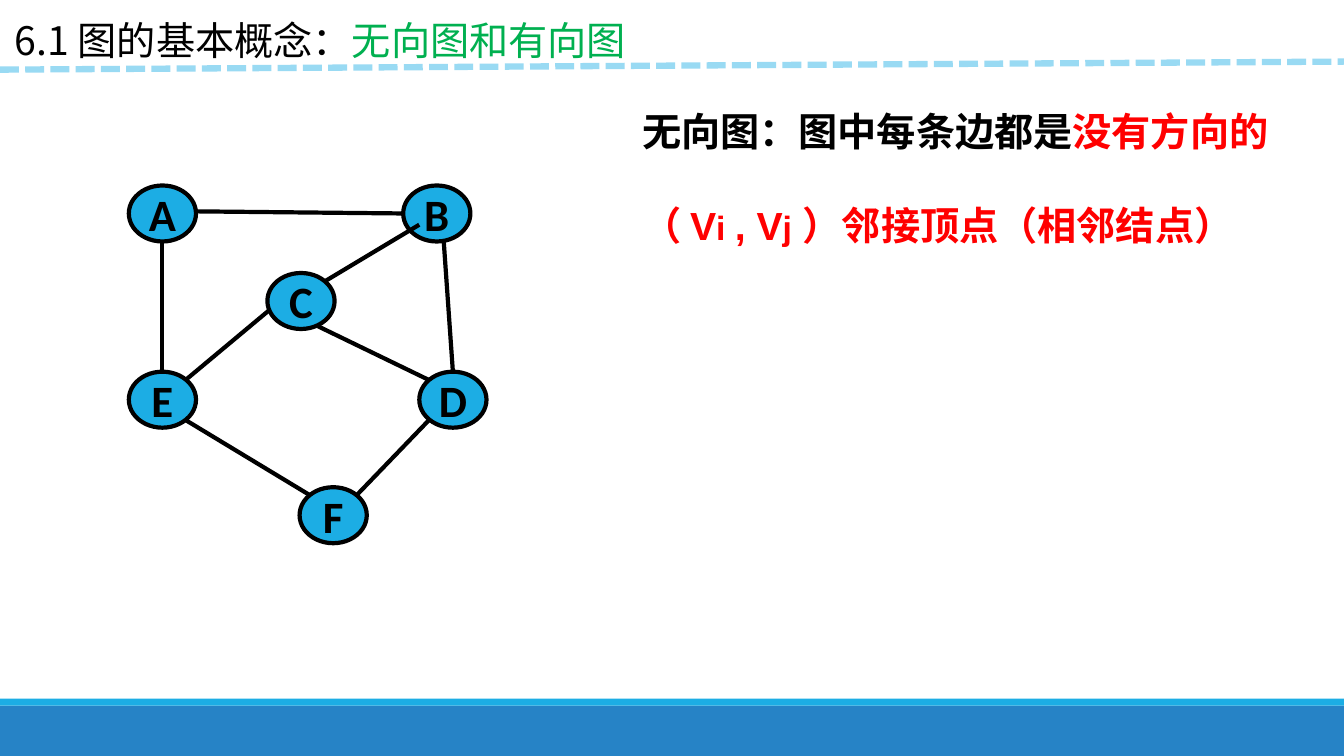
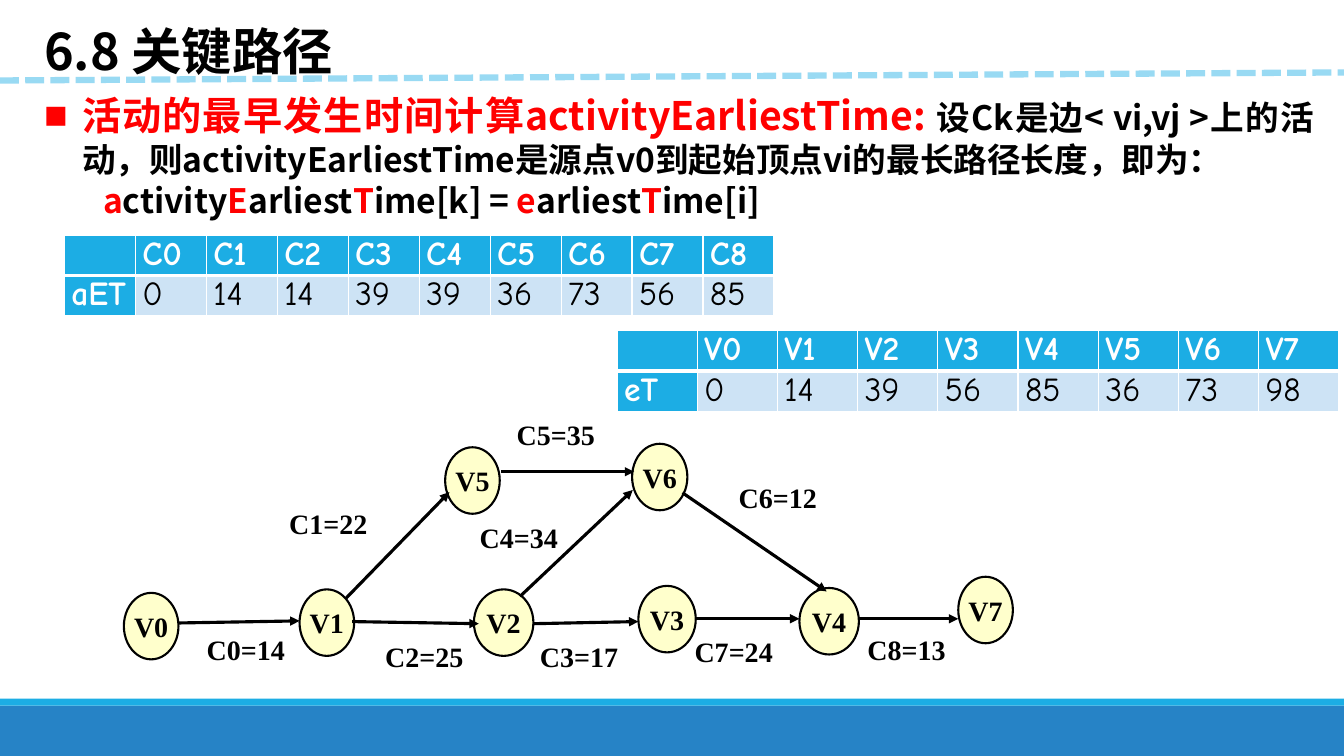
"""Build two slides on graph concepts and critical paths."""
import pptx
import pptx.dml.color
import pptx.enum.dml
import pptx.enum.shapes
import pptx.enum.text
import pptx.oxml.ns
import pptx.util
from lxml import etree

Pt = pptx.util.Pt
SHAPE = pptx.enum.shapes.MSO_SHAPE
ALIGN = pptx.enum.text.PP_ALIGN
ANCHOR = pptx.enum.text.MSO_ANCHOR

WIDTH, HEIGHT = 960, 540
CJK = "Noto Sans CJK SC"
BLACK, WHITE, RED, GREEN = "000000", "FFFFFF", "FF0000", "00B050"
BLUE, SKY, PALE, DASH, CREAM = "2683C6", "1CADE4", "CDE3F5", "99DAF3", "FFFFCC"
TITLE = dict(name=CJK, size=28, color=BLACK, bold=False)
BIG_TITLE = dict(TITLE, size=36, bold=True)
BODY = dict(name=CJK, size=24, color=BLACK, bold=True)
DEFINITION = dict(name="Arial", size=28, color=BLACK, bold=True)
LETTER = dict(name="Calibri", size=32, color=BLACK, bold=True)
LABEL = dict(name="Times New Roman", size=20, color=BLACK, bold=True)
HEAD = dict(name="Comic Neue", size=24, color=WHITE, bold=True)
VALUE = dict(HEAD, color=BLACK, bold=False)

UNDIRECTED_NODES = [("B", 288, 132.5), ("A", 92, 132.5), ("D", 299.5, 265.5),
                    ("F", 214, 348), ("E", 92, 265.5), ("C", 191, 195)]
UNDIRECTED_EDGES = [
    (116, 173, 116, 265.5), (299.5, 160.5, 232, 201), (288, 152.5, 140, 151),
    (193, 221, 132.5, 271.5), (306.5, 300, 255, 353.5), (317, 173, 323.5, 265.5),
    (132.5, 300, 221, 353.5), (227, 233, 306.5, 271.5)]

ACTIVITY_NODES = [
    ("V0", 88.5, 423.5, 39), ("V1", 214, 421, 39), ("V2", 338.5, 421, 42.5),
    ("V3", 456, 418.5, 41), ("V4", 571, 420, 42.5), ("V5", 318, 319.5, 39),
    ("V6", 451.5, 317, 39.5), ("V7", 684.5, 412, 39)]
ACTIVITY_EDGES = [
    ("C0=14", (127.5, 445, 214, 443.5), (140.5, 448)),
    ("C1=22", (247, 427.5, 321, 351.5), (199.5, 358.5)),
    ("C2=25", (251.5, 444, 342, 445.5), (268, 453.5)),
    ("C3=17", (381, 445.5, 456, 444), (378.5, 453.5)),
    ("C4=34", (371.5, 426, 452, 350), (335.5, 368)),
    ("C5=35", (358, 337, 453, 337), (362, 294.5)),
    ("C6=12", (487.5, 352, 590.5, 422.5), (520.5, 340)),
    ("C7=24", (497, 442, 571, 442), (489, 450)),
    ("C8=13", (613.5, 442, 684.5, 442), (612.5, 448))]


def rgb(value):
    """Return the colour for a hex string."""
    return pptx.dml.color.RGBColor.from_string(value)


def child(parent, tag, **attrs):
    """Append a DrawingML element to its parent."""
    return etree.SubElement(parent, pptx.oxml.ns.qn(tag), attrs)


def add_run(p, text, fmt):
    """Add a run with the given format."""
    r = p.add_run()
    r.text = text
    values = dict(fmt, size=Pt(fmt["size"]))
    r.font.color.rgb = rgb(values.pop("color"))
    for key, value in values.items():
        setattr(r.font, key, value)
    child(r.font._element, "a:ea", typeface=CJK)


def setup_frame(tf, **values):
    """Set text frame attributes."""
    for key, value in values.items():
        setattr(tf, key, value)


def add_text(s, box, paragraphs, wrap=False, **fmt):
    """Add a text box holding paragraphs of (text, format) runs."""
    tf = s.shapes.add_textbox(*map(Pt, box)).text_frame
    setup_frame(tf, word_wrap=wrap)
    for i, runs in enumerate(paragraphs):
        p = tf.add_paragraph() if i else tf.paragraphs[0]
        for key, value in fmt.items():
            setattr(p, key, value)
        for text, run_fmt in runs:
            add_run(p, text, run_fmt)
    return tf


def add_block(s, kind, box, fill, line=None):
    """Add a filled shape with an optional black outline."""
    sp = s.shapes.add_shape(kind, *map(Pt, box))
    sp.shadow.inherit = False
    sp.fill.solid()
    sp.fill.fore_color.rgb = rgb(fill)
    if line:
        sp.line.color.rgb = rgb(BLACK)
        sp.line.width = Pt(line)
    else:
        sp.line.fill.background()
    return sp


def add_node(s, text, box, fill, line, fmt):
    """Add a graph vertex with its name."""
    tf = add_block(s, SHAPE.OVAL, box, fill, line).text_frame
    setup_frame(tf, word_wrap=False, vertical_anchor=ANCHOR.MIDDLE,
                margin_left=0, margin_right=0, margin_top=0, margin_bottom=0)
    p = tf.paragraphs[0]
    p.alignment = ALIGN.CENTER
    add_run(p, text, fmt)


def add_line(s, ends, width, color=BLACK, arrow=False):
    """Add a straight line, with an arrowhead if asked."""
    sp = s.shapes.add_connector(pptx.enum.shapes.MSO_CONNECTOR.STRAIGHT, *map(Pt, ends))
    sp.line.color.rgb = rgb(color)
    sp.line.width = Pt(width)
    if arrow:
        child(sp.line._get_or_add_ln(), "a:tailEnd", type="triangle")
    child(sp._element.spPr, "a:effectLst")
    return sp


def add_cell(cell, text, fmt, fill, top, bottom):
    """Fill one table cell and draw its white borders."""
    tc_pr = cell._tc.get_or_add_tcPr()
    for tag, width in (("a:lnL", 1), ("a:lnR", 1), ("a:lnT", top), ("a:lnB", bottom)):
        solid = child(child(tc_pr, tag, w=str(Pt(width))), "a:solidFill")
        child(solid, "a:srgbClr", val=WHITE)
    cell.fill.solid()
    cell.fill.fore_color.rgb = rgb(fill)
    setup_frame(cell, margin_left=Pt(5), margin_right=Pt(5), margin_top=0, margin_bottom=0)
    if text:
        add_run(cell.text_frame.paragraphs[0], text, fmt)


def add_grid(s, left, top, col_width, rows):
    """Add a table with a header row and a header column."""
    count, row_height = len(rows[0]), 28.8
    box = (left, top, col_width * count, row_height * len(rows))
    table = s.shapes.add_table(len(rows), count, *map(Pt, box)).table
    for col in table.columns:
        col.width = Pt(col_width)
    for i, row in enumerate(rows):
        for j, text in enumerate(row):
            head = i == 0 or j == 0
            add_cell(table.cell(i, j), text, HEAD if head else VALUE,
                     SKY if head else PALE, 3 if i else 1, 1 if i else 3)


def add_base(prs, title, box, rule_y):
    """Add a slide with the bands, dashed rule and title."""
    s = prs.slides.add_slide(prs.slide_layouts[6])
    add_block(s, SHAPE.RECTANGLE, (0, 504, WIDTH, 36), BLUE)
    add_block(s, SHAPE.RECTANGLE, (0, 499, WIDTH, 5), SKY)
    rule = add_line(s, (0, rule_y, WIDTH, rule_y - 5.75), 4.5, DASH)
    rule.line.dash_style = pptx.enum.dml.MSO_LINE.SQUARE_DOT
    add_text(s, box, [title], line_spacing=Pt(round(title[0][1]["size"] * 1.22)))
    return s


def build_undirected(prs):
    """Build the slide on undirected graphs."""
    title = [("6.1 图的基本概念：", TITLE), ("无向图和有向图", dict(TITLE, color=GREEN))]
    s = add_base(prs, title, (3.5, 7.5, 499, 41), 49.75)
    red = dict(DEFINITION, color=RED)
    small = dict(red, size=24)
    tf = add_text(s, (451.5, 73, 469, 109), [
        [("无向图：图中每条边都是", DEFINITION), ("没有方向的", red)],
        [("（ V", red), ("i ", small), (", V", red), ("j", small),
         (" ）邻接顶点（相邻结点）", red)]], line_spacing=Pt(34))
    tf.paragraphs[1].space_before = Pt(33)
    for name, x, y in UNDIRECTED_NODES:
        add_node(s, name, (x, y, 48, 40), SKY, 3, LETTER)
    for ends in UNDIRECTED_EDGES:
        add_line(s, ends, 3)


def add_explanation(s):
    """Add the bulleted definition and its formula."""
    red = dict(BODY, color=RED)
    formula = ["a", "ctivity", "E", "arliest", "T", "ime[k] = ",
               "e", "arliest", "T", "ime[i]"]
    tf = add_text(s, (24.5, 66.5, 921, 99), [
        [("活动的最早发生时间计算activityEarliestTime: ", dict(red, size=28)),
         ("设Ck是边< vi,vj >上的活动，则activityEarliestTime是源点v0到起始顶点vi"
          "的最长路径长度，即为：", BODY)],
        [(text, BODY if i % 2 else red) for i, text in enumerate(formula)]],
        wrap=True, line_spacing=Pt(29), alignment=ALIGN.JUSTIFY)
    for p, margin, indent in zip(tf.paragraphs, (27, 21), (-27, 21)):
        p_pr = p._p.get_or_add_pPr()
        p_pr.set("marL", str(Pt(margin)))
        p_pr.set("indent", str(Pt(indent)))
    p_pr = tf.paragraphs[0]._p.get_or_add_pPr()
    child(p_pr, "a:buFont", typeface="Arial")
    child(p_pr, "a:buChar", char="■")


def build_critical_path(prs):
    """Build the slide on the critical path."""
    s = add_base(prs, [("6.8 关键路径", BIG_TITLE)], (24.5, 10, 286, 51), 57.5)
    add_explanation(s)
    for name, x, y, width in ACTIVITY_NODES:
        add_node(s, name, (x, y, width, 47.5), CREAM, 1.5, LABEL)
    for text, ends, place in ACTIVITY_EDGES:
        add_line(s, ends, 2.25, arrow=True)
        add_text(s, (*place, 71, 31.5), [[(text, LABEL)]])
    add_grid(s, 46, 168, 50.7, [
        ["", *(f"C{i}" for i in range(9))],
        ["aET", "0", "14", "14", "39", "39", "36", "73", "56", "85"]])
    add_grid(s, 440.75, 236, 57.3, [
        ["", *(f"V{i}" for i in range(8))],
        ["eT", "0", "14", "39", "56", "85", "36", "73", "98"]])


def main():
    """Build and save the presentation."""
    prs = pptx.Presentation()
    prs.slide_width, prs.slide_height = Pt(WIDTH), Pt(HEIGHT)
    build_undirected(prs)
    build_critical_path(prs)
    prs.save("out.pptx")


if __name__ == "__main__":
    main()
